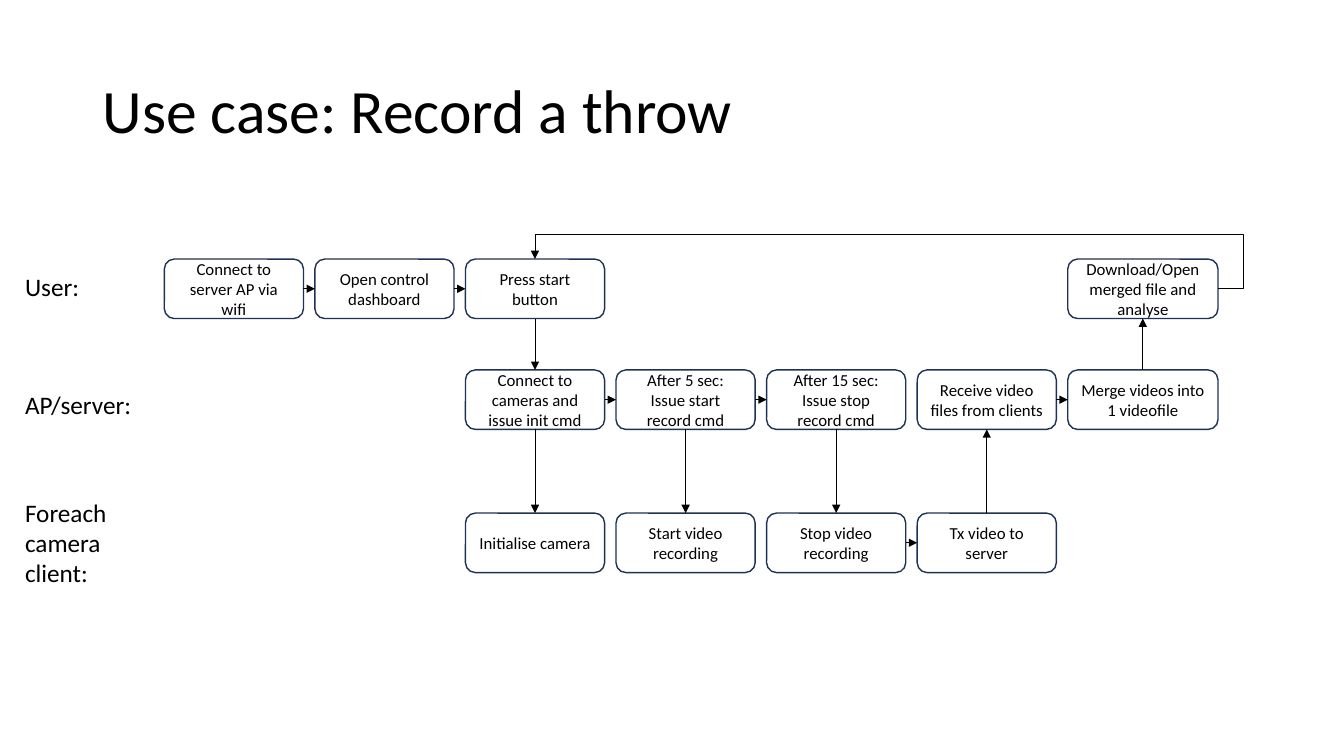
import pptx
import pptx.util
import pptx.dml.color
import pptx.enum.shapes
import pptx.enum.text
import pptx.oxml.ns
from lxml import etree

Inches = pptx.util.Inches
Pt = pptx.util.Pt
qn = pptx.oxml.ns.qn
SHAPE = pptx.enum.shapes.MSO_SHAPE
CONNECTOR = pptx.enum.shapes.MSO_CONNECTOR
ANCHOR = pptx.enum.text.MSO_ANCHOR
ALIGN = pptx.enum.text.PP_ALIGN
TOP, LEFT, BOTTOM, RIGHT = range(4)


def color(value):
    return pptx.dml.color.RGBColor.from_string(value)


def write(sp, text, size=12, align=ALIGN.LEFT, anchor=ANCHOR.TOP, spacing=None):
    tf = sp.text_frame
    tf.word_wrap = True
    tf.vertical_anchor = anchor
    p = tf.paragraphs[0]
    p.alignment = align
    if spacing:
        p.line_spacing = spacing
    r = p.add_run()
    r.text = text
    r.font.name = "Calibri"
    r.font.size = Pt(size)
    r.font.color.rgb = color("000000")


class Flow:
    outline = "1E3256"
    ink = "000000"

    def __init__(self, s):
        self.s = s

    def text(self, x, y, w, h, text, **fmt):
        sp = self.s.shapes.add_textbox(Inches(x), Inches(y), Inches(w), Inches(h))
        write(sp, text, **fmt)

    def step(self, x, y, w, h, text):
        sp = self.s.shapes.add_shape(
            SHAPE.ROUNDED_RECTANGLE, Inches(x), Inches(y), Inches(w), Inches(h))
        sp.shadow.inherit = False
        sp.fill.background()
        sp.line.color.rgb = color(self.outline)
        sp.line.width = Pt(1)
        write(sp, text, align=ALIGN.CENTER, anchor=ANCHOR.MIDDLE)
        return sp

    def arrow(self, start, start_site, end, end_site, kind=CONNECTOR.STRAIGHT):
        c = self.s.shapes.add_connector(kind, 0, 0, 0, 0)
        c.begin_connect(start, start_site)
        c.end_connect(end, end_site)
        c.line.color.rgb = color(self.ink)
        c.line.width = Pt(0.5)
        spPr = c._element.spPr
        etree.SubElement(spPr.find(qn("a:ln")), qn("a:tailEnd"), type="triangle")
        etree.SubElement(spPr, qn("a:effectLst"))
        return c

    def loop(self, start, end, adjustments):
        c = self.arrow(start, RIGHT, end, TOP, CONNECTOR.ELBOW)
        geom = c._element.spPr.find(qn("a:prstGeom"))
        geom.set("prst", "bentConnector4")
        guides = geom.find(qn("a:avLst"))
        for i, value in enumerate(adjustments, 1):
            etree.SubElement(guides, qn("a:gd"), name=f"adj{i}", fmla=f"val {value}")


def main():
    prs = pptx.Presentation()
    prs.slide_width = Inches(13.33)
    prs.slide_height = Inches(7.5)
    flow = Flow(prs.slides.add_slide(prs.slide_layouts[6]))

    flow.text(0.92, 0.4, 11.5, 1.45, "Use case: Record a throw",
              size=44, anchor=ANCHOR.MIDDLE, spacing=0.9)
    for y, w, h, label in [(2.64, 1.04, 0.4, "User:"),
                           (3.81, 1.34, 0.4, "AP/server:"),
                           (4.88, 1.53, 1.01, "Foreach camera client:")]:
        flow.text(0.15, y, w, h, label, size=18)

    first_x, last_x, last_col = 1.63, 10.59, 6
    pitch = (last_x - first_x) / last_col
    lanes = {
        "user": (2.57, {0: "Connect to server AP via wifi",
                        1: "Open control dashboard",
                        2: "Press start button",
                        6: "Download/Open merged file and analyse"}),
        "server": (3.67, {2: "Connect to cameras and issue init cmd",
                          3: "After 5 sec: Issue start record cmd",
                          4: "After 15 sec: Issue stop record cmd",
                          5: "Receive video files from clients",
                          6: "Merge videos into 1 videofile"}),
        "camera": (5.09, {2: "Initialise camera",
                          3: "Start video recording",
                          4: "Stop video recording",
                          5: "Tx video to server"}),
    }
    steps = {}
    for lane, (y, texts) in lanes.items():
        for col, text in texts.items():
            w = 1.49 if col == last_col else 1.38
            steps[lane, col] = flow.step(first_x + col * pitch, y, w, 0.59, text)

    for lane, col in [("user", 0), ("user", 1), ("server", 2), ("server", 3),
                      ("server", 5), ("camera", 4)]:
        flow.arrow(steps[lane, col], RIGHT, steps[lane, col + 1], LEFT)
    for upper, lower, col in [("user", "server", 2), ("server", "camera", 2),
                              ("server", "camera", 3), ("server", "camera", 4)]:
        flow.arrow(steps[upper, col], BOTTOM, steps[lower, col], TOP)
    for lower, upper, col in [("camera", "server", 5), ("server", "user", 6)]:
        flow.arrow(steps[lower, col], TOP, steps[upper, col], BOTTOM)
    flow.loop(steps["user", 6], steps["user", 2], (-3700, 184700))

    prs.save("out.pptx")


if __name__ == "__main__":
    main()
